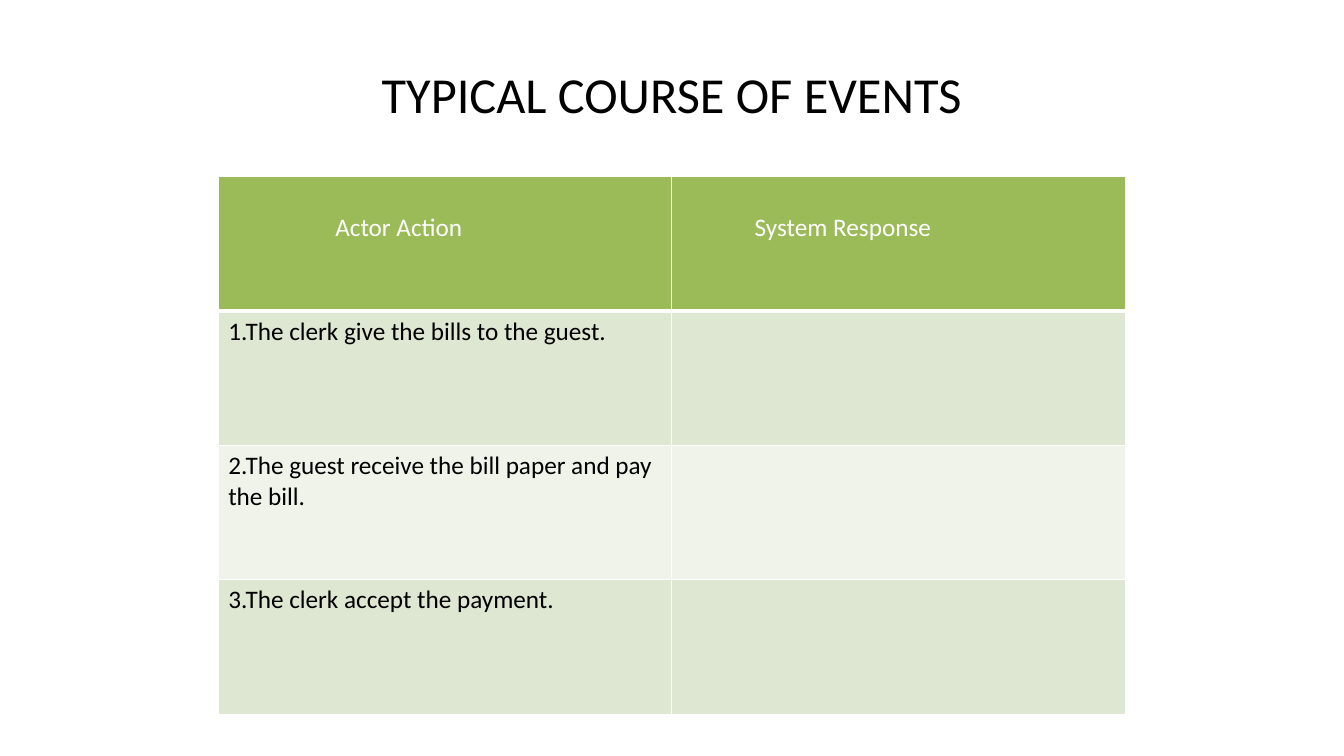
import pptx
import pptx.dml.color
import pptx.enum.text
import pptx.oxml
import pptx.oxml.ns
import pptx.util
from pptx.util import Cm

COLORS = {
    "black": "000000",
    "white": "FFFFFF",
    "header": "9BBB59",
    "band": "DEE7D1",
    "light": "EFF3EA",
}
FONT = "Calibri"
# Header captions with their indents in centimetres
HEADERS = [("Actor Action", 2.95), ("System Response", 2.09)]
ACTIONS = [
    "1.The clerk give the bills to the guest.",
    "2.The guest receive the bill paper and pay the bill.",
    "3.The clerk accept the payment.",
]


def rgb(name):
    return pptx.dml.color.RGBColor.from_string(COLORS[name])


def write_text(tf, text, size=18, color="black", align=pptx.enum.text.PP_ALIGN.LEFT):
    p = tf.paragraphs[0]
    p.alignment = align
    r = p.add_run()
    r.text = text
    r.font.name = FONT
    r.font.size = pptx.util.Pt(size)
    r.font.bold = False
    r.font.color.rgb = rgb(color)


def style_cell(cell, fill, bottom=1):
    """Draw white cell borders, then fill the cell; bottom is in points."""
    tcPr = cell._tc.get_or_add_tcPr()
    for side, width in (("L", 1), ("R", 1), ("T", 1), ("B", bottom)):
        tcPr.append(pptx.oxml.parse_xml(
            f'<a:ln{side} {pptx.oxml.ns.nsdecls("a")} w="{pptx.util.Pt(width)}">'
            f'<a:solidFill><a:srgbClr val="{COLORS["white"]}"/></a:solidFill>'
            f'</a:ln{side}>'))
    cell.fill.solid()
    cell.fill.fore_color.rgb = rgb(fill)


def add_title(s, text):
    title = s.shapes.title
    title.left, title.top = Cm(1.69), Cm(0.76)
    title.width, title.height = Cm(30.48), Cm(3.18)
    tf = title.text_frame
    tf.word_wrap = True
    tf.vertical_anchor = pptx.enum.text.MSO_ANCHOR.MIDDLE
    write_text(tf, text, size=36, align=pptx.enum.text.PP_ALIGN.CENTER)


def add_events_table(s):
    table = s.shapes.add_table(
        len(ACTIONS) + 1, len(HEADERS), Cm(5.5), Cm(4.45), Cm(22.86), Cm(13.55)).table
    for cell, (text, indent) in zip(table.rows[0].cells, HEADERS):
        style_cell(cell, "header", bottom=3)
        cell.margin_left, cell.margin_top = Cm(indent), Cm(0.9)
        write_text(cell.text_frame, text, color="white")
    for i, action in enumerate(ACTIONS):
        cells = table.rows[i + 1].cells
        for cell in cells:
            style_cell(cell, "light" if i % 2 else "band")
        write_text(cells[0].text_frame, action)


def main():
    prs = pptx.Presentation()
    prs.slide_width, prs.slide_height = Cm(33.87), Cm(19.05)
    s = prs.slides.add_slide(prs.slide_layouts.get_by_name("Title Only"))
    add_title(s, "TYPICAL COURSE OF EVENTS")
    add_events_table(s)
    prs.save("out.pptx")


if __name__ == "__main__":
    main()
